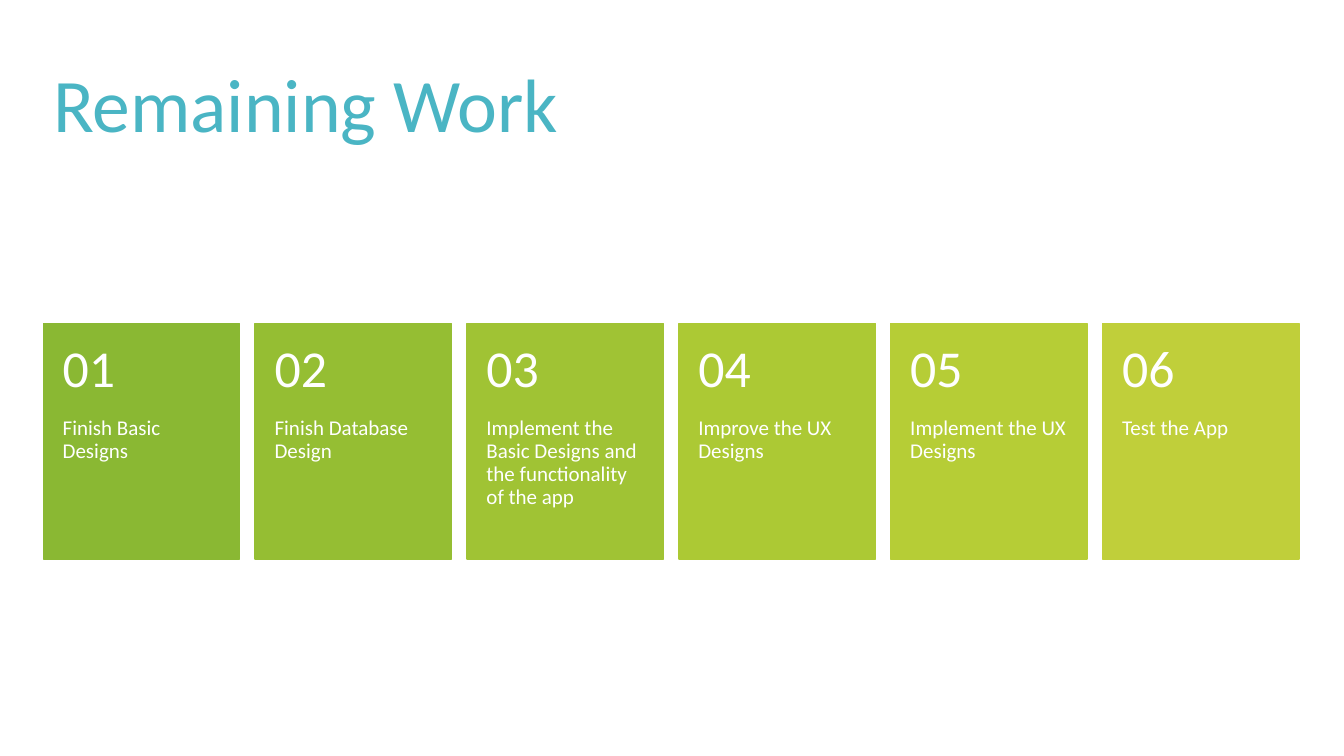
from dataclasses import dataclass

from pptx import Presentation
from pptx import util as u
from pptx.dml.color import RGBColor
from pptx.enum import shapes, text
from pptx.slide import Slide

WHITE = RGBColor(0xFF, 0xFF, 0xFF)
TEAL = RGBColor(0x4A, 0xB5, 0xC4)
GREEN = RGBColor(0x8A, 0xB8, 0x33)
LEAF = RGBColor(0x95, 0xBE, 0x33)
GRASS = RGBColor(0xA0, 0xC3, 0x34)
LIME = RGBColor(0xAC, 0xC9, 0x34)
PEAR = RGBColor(0xB6, 0xCD, 0x36)
CITRON = RGBColor(0xC0, 0xCF, 0x3A)

LEFT, TOP, STEP = 1.09, 8.15, 5.34
CARD_WIDTH, CARD_HEIGHT, NUMBER_HEIGHT = 4.95, 5.94, 2.38


@dataclass(frozen=True)
class Area:
    left: float
    top: float
    width: float
    height: float

    def lengths(self) -> list[u.Cm]:
        return [u.Cm(value) for value in (self.left, self.top, self.width, self.height)]


@dataclass(frozen=True)
class Style:
    size: int
    color: RGBColor
    anchor: text.MSO_ANCHOR
    insets: tuple[float, float, float, float]


@dataclass(frozen=True)
class Task:
    wording: str
    color: RGBColor


TITLE = Style(54, TEAL, text.MSO_ANCHOR.MIDDLE, (0.25, 0.13, 0.25, 0.13))
NUMBER = Style(37, WHITE, text.MSO_ANCHOR.MIDDLE, (0.49, 0.46, 0.49, 0.46))
LABEL = Style(15, WHITE, text.MSO_ANCHOR.TOP, (0.49, 0, 0.49, 0.91))

TASKS = [
    Task("Finish Basic Designs", GREEN),
    Task("Finish Database Design", LEAF),
    Task("Implement the Basic Designs and the functionality of the app", GRASS),
    Task("Improve the UX Designs", LIME),
    Task("Implement the UX Designs", PEAR),
    Task("Test the App", CITRON),
]


def apply_format(target: object, values: dict[str, object]) -> None:
    for name, value in values.items():
        setattr(target, name, value)


def add_text(page: Slide, area: Area, wording: str, style: Style) -> None:
    box = page.shapes.add_textbox(*area.lengths())
    left, top, right, bottom = (u.Cm(inset) for inset in style.insets)
    apply_format(box.text_frame, {
        "word_wrap": True,
        "auto_size": text.MSO_AUTO_SIZE.NONE,
        "vertical_anchor": style.anchor,
        "margin_left": left,
        "margin_top": top,
        "margin_right": right,
        "margin_bottom": bottom,
    })
    para = box.text_frame.paragraphs[0]
    apply_format(para, {"alignment": text.PP_ALIGN.LEFT, "line_spacing": 0.9})
    span = para.add_run()
    span.text = wording
    apply_format(span.font, {"name": "Calibri", "size": u.Pt(style.size)})
    span.font.color.rgb = style.color


def add_card(page: Slide, index: int, task: Task) -> None:
    left = LEFT + index * STEP
    area = Area(left, TOP, CARD_WIDTH, CARD_HEIGHT)
    card = page.shapes.add_shape(shapes.MSO_SHAPE.RECTANGLE, *area.lengths())
    card.shadow.inherit = False
    card.line.width = u.Pt(1)
    for fill in (card.fill, card.line.fill):
        fill.solid()
        fill.fore_color.rgb = task.color
    label_area = Area(left, TOP + NUMBER_HEIGHT, CARD_WIDTH, CARD_HEIGHT - NUMBER_HEIGHT)
    add_text(page, label_area, task.wording, LABEL)
    number_area = Area(left, TOP, CARD_WIDTH, NUMBER_HEIGHT)
    add_text(page, number_area, f"{index + 1:02d}", NUMBER)


def main() -> None:
    deck = Presentation()
    apply_format(deck, {"slide_width": u.Cm(33.87), "slide_height": u.Cm(19.05)})
    page = deck.slides.add_slide(deck.slide_layouts[6])
    add_text(page, Area(LEFT, 0.89, 31.7, 3.68), "Remaining Work", TITLE)
    for index, task in enumerate(TASKS):
        add_card(page, index, task)
    deck.save("out.pptx")


if __name__ == "__main__":
    main()
